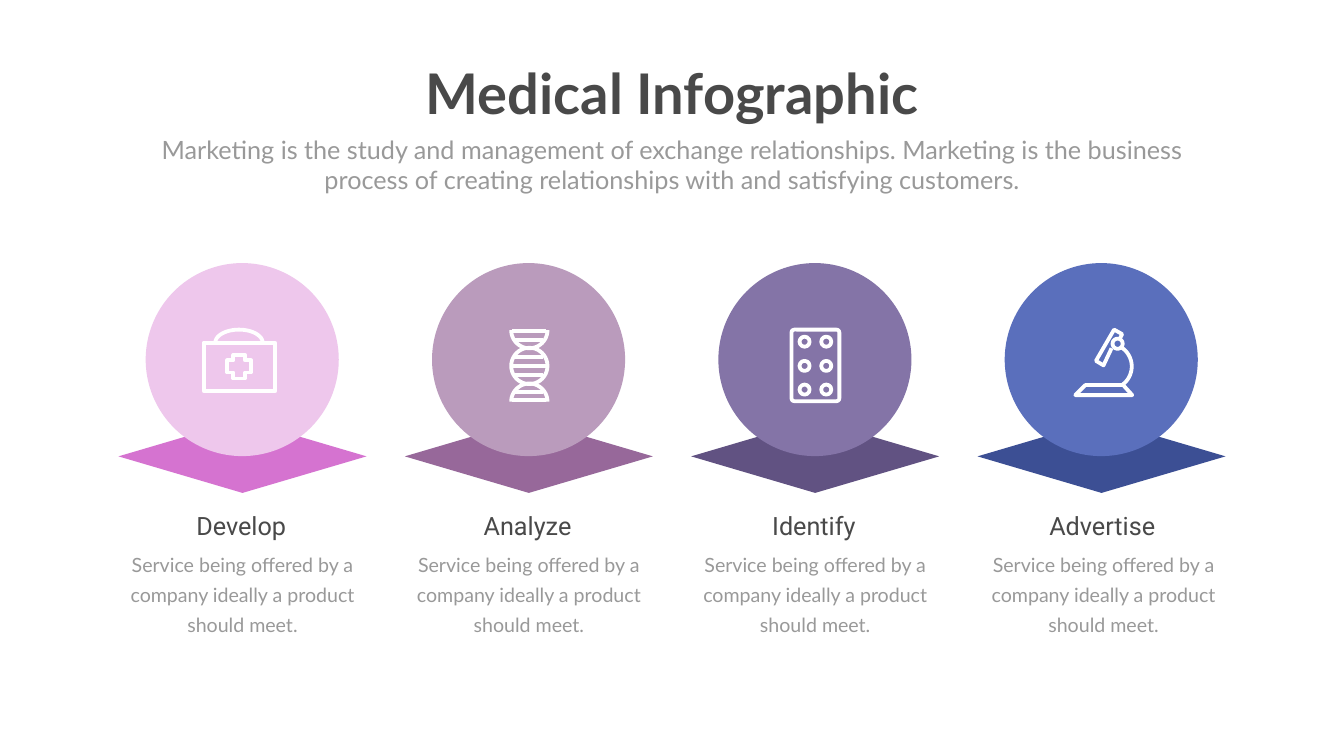
"""Build the Medical Infographic slide with four illustrated steps."""
from math import cos, radians, sin

from lxml.etree import SubElement
from pptx import Presentation
from pptx.dml.color import RGBColor
from pptx.enum.shapes import MSO_SHAPE as SHAPE
from pptx.enum.text import MSO_AUTO_SIZE, PP_ALIGN
from pptx.oxml.ns import qn
from pptx.util import Inches, Pt

COLORS = {
    "heading": "494949", "body": "999999", "icon": "FFFFFF",
    "Develop": ("D573D0", "EEC7EC"), "Analyze": ("97689A", "BA9BBC"),
    "Identify": ("615282", "8474A7"), "Advertise": ("3C4F94", "5A6FBC"),
}
STROKE = Pt(5.4)
PITCH = 5.68
SERVICE = "Service being offered by a company ideally a product should meet."
SUMMARY = ("Marketing is the study and management of exchange relationships. "
           "Marketing is the business process of creating relationships with "
           "and satisfying customers.")

prs = Presentation()
prs.slide_width, prs.slide_height = Inches(26.66), Inches(15)
slide = prs.slides.add_slide(prs.slide_layouts[6])
shapes = slide.shapes


def paint(part, fill=None):
    part.shadow.inherit = False
    if fill:
        part.fill.solid()
        part.fill.fore_color.rgb = RGBColor.from_string(fill)
        part.line.fill.background()
    else:
        part.fill.background()
        part.line.color.rgb = RGBColor.from_string(COLORS["icon"])
        part.line.width = STROKE
        SubElement(part.line._get_or_add_ln(), qn("a:round"))
    return part


def arc(x, y, across, down, start, end):
    angles = [radians(start + (end - start) * step / 40) for step in range(41)]
    return [(x + across * cos(a), y + down * sin(a)) for a in angles]


texts = [
    (8.24, 1.12, 10.19, 1.45, "Medical Infographic", 80, "Lato", "heading", True, None),
    (2.92, 2.61, 20.82, 1.31, SUMMARY, 36, "Lato", "body", False, None),
]
steps = [("Develop", 0), ("Analyze", 0), ("Identify", 0), ("Advertise", 0.04)]
for column, (step, nudge) in enumerate(steps):
    shift = column * PITCH
    base_color, disc_color = COLORS[step]
    paint(shapes.add_shape(SHAPE.FLOWCHART_DECISION, Inches(2.35 + shift), Inches(8.33),
                           Inches(4.92), Inches(1.45)), base_color)
    paint(shapes.add_shape(SHAPE.OVAL, Inches(2.89 + shift), Inches(5.22),
                           Inches(3.83), Inches(3.83)), disc_color)
    shift += nudge
    texts += [
        (2.26 + shift, 10.79, 5.1, 1.84, SERVICE, 28, "Lato", "body", False, Pt(43)),
        (3.22 + shift, 10.08, 3.13, 0.71, step, 36, "Roboto", "heading", False, None),
    ]

kit_case = [(4.04, 6.8), (5.46, 6.8), (5.46, 7.76), (4.04, 7.76)]
kit_handle = arc(4.74, 6.8, 0.47, 0.26, 180, 360)
kit_cross = [(4.63, 7.04), (4.86, 7.04), (4.86, 7.15), (4.98, 7.15), (4.98, 7.39),
             (4.86, 7.39), (4.86, 7.51), (4.63, 7.51), (4.63, 7.39), (4.51, 7.39),
             (4.51, 7.15), (4.63, 7.15)]

dna_strands = [
    (arc(10.5, 6.55, 0.36, 0.36, 0, 180), False),
    (arc(10.5, 7.26, 0.36, 0.36, 0, 360), True),
    (arc(10.5, 7.97, 0.36, 0.36, 180, 360), False),
]
rungs = [(6.57, 0.34), (6.74, 0.28), (7.08, 0.28), (7.26, 0.34),
         (7.44, 0.28), (7.78, 0.28), (7.94, 0.34)]
dna_rungs = [([(10.5 - reach, y), (10.5 + reach, y)], False) for y, reach in rungs]

microscope = [
    ([(21.33, 7.84), (21.53, 7.64), (22.28, 7.64), (22.46, 7.84)], True),
    ([(22.05, 6.91), (21.89, 7.25), (21.74, 7.16), (22.1, 6.54),
      (22.26, 6.63), (22.22, 6.71)], False),
    (arc(22.17, 6.82, 0.1, 0.1, 0, 360), True),
    (arc(22, 7.27, 0.45, 0.45, -58, 53), False),
]

icons = [
    [(kit_case, True), (kit_handle, False)],
    [(kit_cross, True)],
    microscope,
    dna_strands + dna_rungs,
]
for icon in icons:
    start_x, start_y = icon[0][0][0]
    builder = shapes.build_freeform(Inches(start_x), Inches(start_y), scale=1.0)
    for index, (points, closed) in enumerate(icon):
        outline = [(Inches(x), Inches(y)) for x, y in points]
        if index:
            builder.move_to(*outline[0])
        builder.add_line_segments(outline[1:], close=closed)
    paint(builder.convert_to_shape())

pill_pack = paint(shapes.add_shape(SHAPE.ROUNDED_RECTANGLE, Inches(15.7), Inches(6.54),
                                   Inches(0.95), Inches(1.42)))
pill_pack.adjustments[0] = 0.06
for y in (6.78, 7.26, 7.73):
    for x in (15.96, 16.39):
        paint(shapes.add_shape(SHAPE.OVAL, Inches(x - 0.1), Inches(y - 0.1),
                               Inches(0.2), Inches(0.2)))

for left, top, width, height, words, size, face, color, bold, spacing in texts:
    frame = shapes.add_textbox(Inches(left), Inches(top), Inches(width),
                               Inches(height)).text_frame
    frame.word_wrap = size < 80
    frame.auto_size = MSO_AUTO_SIZE.SHAPE_TO_FIT_TEXT
    paragraph = frame.paragraphs[0]
    paragraph.alignment = PP_ALIGN.CENTER
    paragraph.line_spacing = spacing
    run = paragraph.add_run()
    run.text = words
    run.font.size, run.font.name, run.font.bold = Pt(size), face, bold
    run.font.color.rgb = RGBColor.from_string(COLORS[color])

prs.save("out.pptx")
